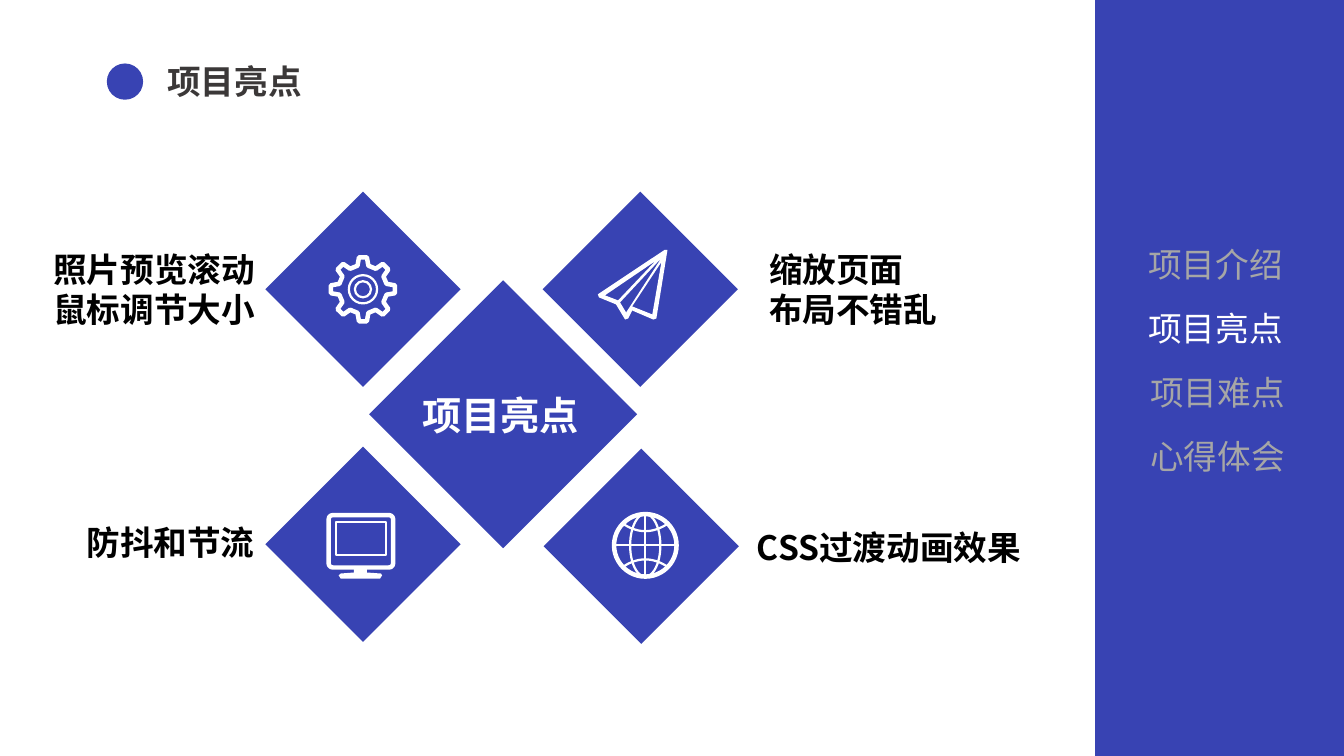
from math import cos, radians, sin

from lxml import etree
from pptx import Presentation
from pptx.dml.color import RGBColor
from pptx.enum.shapes import MSO_CONNECTOR, MSO_SHAPE
from pptx.enum.text import PP_ALIGN
from pptx.oxml.ns import qn
from pptx.util import Inches, Pt

BLUE = RGBColor(0x38, 0x43, 0xB3)
WHITE = RGBColor(0xFF, 0xFF, 0xFF)
BLACK = RGBColor(0, 0, 0)
DARK = RGBColor(0x3B, 0x38, 0x38)
GRAY = RGBColor(0xA6, 0xA6, 0xA6)
FONT = "Noto Sans CJK SC"
RECT = MSO_SHAPE.RECTANGLE
ROUND = MSO_SHAPE.ROUNDED_RECTANGLE
OVAL = MSO_SHAPE.OVAL
STRAIGHT = MSO_CONNECTOR.STRAIGHT
LEFT = PP_ALIGN.LEFT
CENTER = PP_ALIGN.CENTER
JUSTIFY = PP_ALIGN.JUSTIFY
THICK = 3.2
THIN = 1.6


def paint(shape, fill=None, width=0, line=WHITE):
    shape.shadow.inherit = False
    if fill is None:
        shape.fill.background()
    else:
        shape.fill.solid()
        shape.fill.fore_color.rgb = fill
    if width:
        shape.line.color.rgb = line
        shape.line.width = Pt(width)
    else:
        shape.line.fill.background()
    return shape


def add_box(slide, kind, x, y, w, h, **look):
    shape = slide.shapes.add_shape(kind, Inches(x), Inches(y), Inches(w), Inches(h))
    return paint(shape, **look)


def add_ring(slide, x, y, rx, ry, width):
    add_box(slide, OVAL, x - rx, y - ry, 2 * rx, 2 * ry, width=width)


def add_path(slide, loops, close=True, **look):
    first, *rest = [[(Inches(x), Inches(y)) for x, y in loop] for loop in loops]
    path = slide.shapes.build_freeform(*first[0])
    path.add_line_segments(first[1:], close=close)
    for loop in rest:
        path.move_to(*loop[0])
        path.add_line_segments(loop[1:], close=close)
    return paint(path.convert_to_shape(), **look)


def add_line(slide, x1, y1, x2, y2):
    line = slide.shapes.add_connector(
        STRAIGHT, Inches(x1), Inches(y1), Inches(x2), Inches(y2))
    line.line.color.rgb = WHITE
    line.line.width = Pt(THIN)
    etree.SubElement(line._element.spPr, qn("a:effectLst"))


def add_text(slide, text, x, y, w, h, color, size=24, bold=True, align=LEFT, wrap=True):
    box = slide.shapes.add_textbox(Inches(x), Inches(y), Inches(w), Inches(h))
    frame = box.text_frame
    frame.word_wrap = wrap
    frame.text = text
    for para in frame.paragraphs:
        para.alignment = align
        font = para.font
        font.name = FONT
        font.size = Pt(size)
        font.bold = bold
        font.color.rgb = color
        etree.SubElement(font._element, qn("a:ea"), typeface=FONT)


def add_tile(slide, x, y, side):
    add_box(slide, RECT, x - side / 2, y - side / 2, side, side, fill=BLUE).rotation = 45


def draw_gear(slide, x, y):
    teeth = [(r, 45 * i + turn) for i in range(8)
             for r, turn in ((0.24, -13), (0.32, -7), (0.32, 7), (0.24, 13))]
    rim = [(x + r * sin(radians(a)), y + r * cos(radians(a))) for r, a in teeth]
    add_path(slide, [rim], width=THICK)
    for r in (0.14, 0.08):
        add_ring(slide, x, y, r, r, THIN)


def draw_plane(slide):
    edge = [(6.62, 2.48), (6.59, 2.48), (5.93, 2.92), (5.94, 2.95), (6.11, 3.02),
            (6.2, 3.17), (6.23, 3.16), (6.27, 3.08), (6.48, 3.17), (6.51, 3.16)]
    folds = [[(6.47, 3.12), (6.27, 3.04), (6.56, 2.6)],
             [(6.15, 3), (6.56, 2.56), (6.21, 3.1)],
             [(6, 2.93), (6.5, 2.59), (6.13, 2.98)]]
    add_path(slide, [edge, *folds], fill=WHITE)


def draw_screen(slide):
    case = add_box(slide, ROUND, 3.26, 5.11, 0.64, 0.52, width=THICK)
    case.adjustments[0] = 0.08
    add_box(slide, RECT, 3.33, 5.18, 0.5, 0.33, width=THIN)
    stand = [(3.51, 5.64), (3.64, 5.64), (3.64, 5.68), (3.78, 5.69), (3.79, 5.71),
             (3.77, 5.74), (3.38, 5.74), (3.36, 5.71), (3.38, 5.69), (3.51, 5.68)]
    add_path(slide, [stand], fill=WHITE)


def draw_globe(slide, x, y):
    r = 0.31
    add_ring(slide, x, y, r, r, THICK)
    add_ring(slide, x, y, 0.15, r, THIN)
    add_line(slide, x - r, y, x + r, y)
    add_line(slide, x, y - r, x, y + r)
    steps = [0.035 * i for i in range(-6, 7)]
    for side in (-1, 1):
        arc = [(x + dx, y + side * (0.14 + 1.5 * dx * dx)) for dx in steps]
        add_path(slide, [arc], close=False, width=THIN)


def main():
    deck = Presentation()
    deck.slide_width = Inches(13.33)
    deck.slide_height = Inches(7.5)
    slide = deck.slides.add_slide(deck.slide_layouts[6])

    add_box(slide, RECT, 10.87, 0, 2.46, 7.5, fill=BLUE, width=1, line=BLUE)
    menu = [("项目介绍", 11.29, GRAY), ("项目亮点", 11.29, WHITE),
            ("项目难点", 11.31, GRAY), ("心得体会", 11.31, GRAY)]
    for i, (name, x, color) in enumerate(menu):
        add_text(slide, name, x, 2.37 + 0.635 * i, 1.95, 0.5, color, bold=False)

    add_box(slide, OVAL, 1.06, 0.63, 0.36, 0.36, fill=BLUE)
    add_text(slide, "项目亮点", 1.56, 0.56, 2.91, 0.5, DARK)

    for x, y in ((3.6, 2.87), (6.35, 2.87), (3.6, 5.4), (6.36, 5.42)):
        add_tile(slide, x, y, 1.37)
    add_tile(slide, 4.99, 4.11, 1.88)
    add_text(slide, "项目亮点", 4.08, 3.83, 1.77, 0.57, WHITE, 28, align=CENTER, wrap=False)

    draw_gear(slide, 3.6, 2.87)
    draw_plane(slide)
    draw_screen(slide)
    draw_globe(slide, 6.4, 5.41)

    add_text(slide, "照片预览滚动鼠标调节大小", 0.43, 2.42, 2.51, 0.91, BLACK)
    add_text(slide, "缩放页面\n布局不错乱", 7.53, 2.42, 2.35, 0.91, BLACK, align=JUSTIFY)
    add_text(slide, "防抖和节流", 0.76, 5.13, 1.96, 0.5, BLACK)
    add_text(slide, "CSS过渡动画效果", 7.41, 5.18, 2.94, 0.5, BLACK)
    deck.save("out.pptx")


if __name__ == "__main__":
    main()
